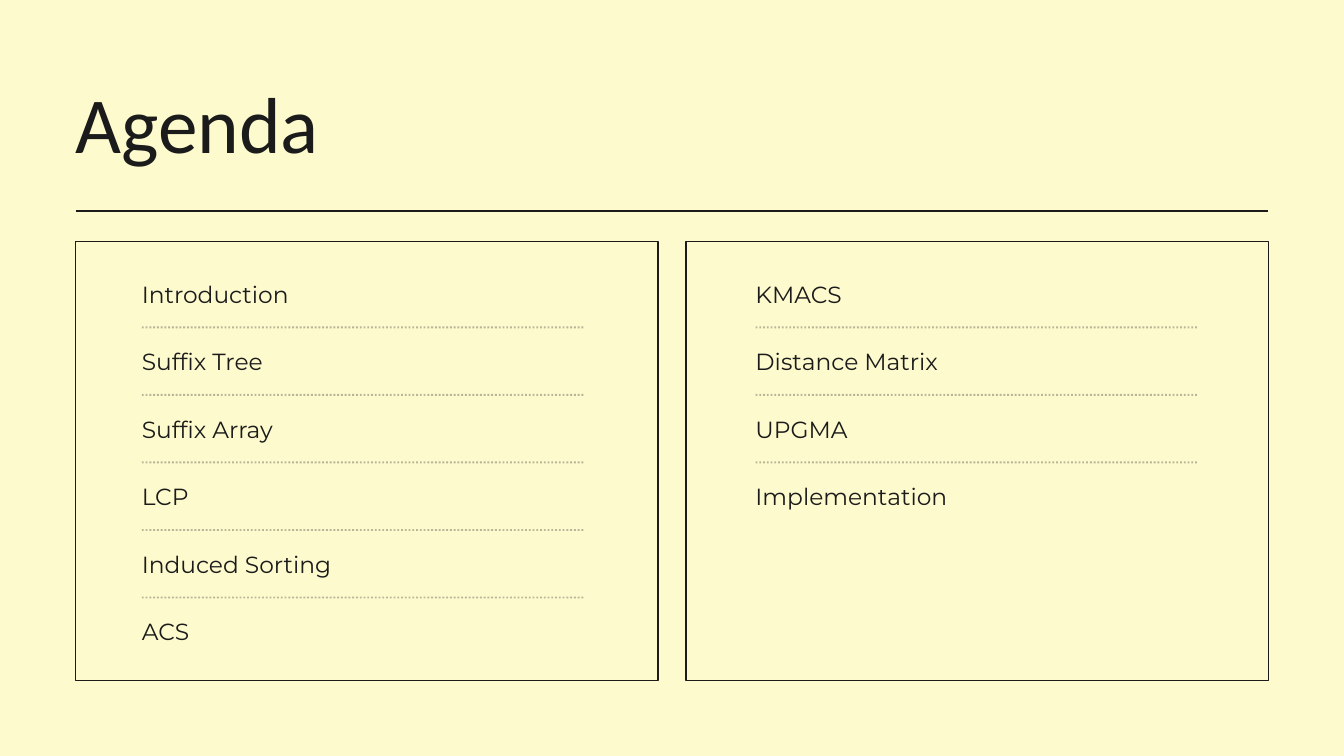
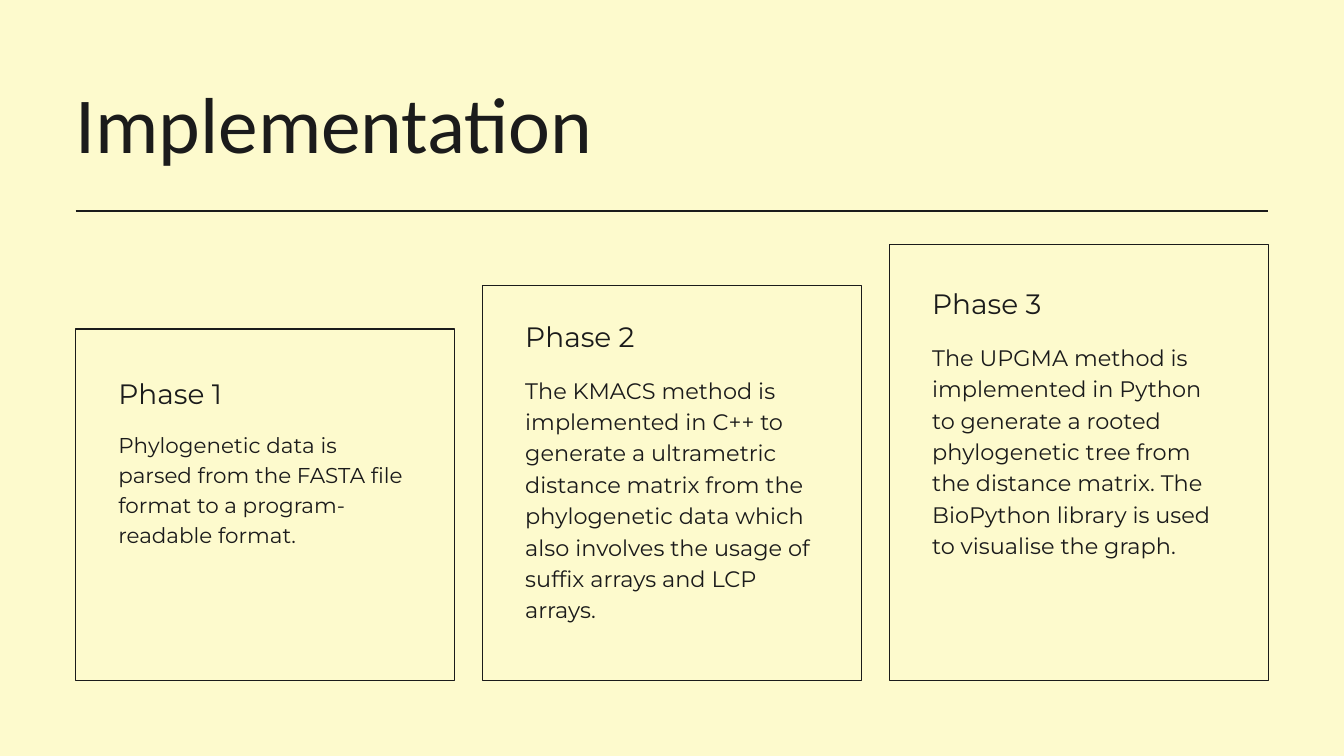
from lxml import etree
from pptx import Presentation
from pptx import util as u
from pptx.dml.color import RGBColor
from pptx.enum import dml, shapes, text
from pptx.oxml.ns import qn

Pt = u.Pt
COLORS = {"paper": "FDFACD", "ink": "1B1B1B"}
FONTS = {"title": "Calibri", "body": "Montserrat"}
LEFT, RIGHT = 81, 1359
BASE = 729
GAP = 30


def columns(count):
    """Left edges and common width of equal columns between the margins."""
    width = (RIGHT - LEFT - GAP * (count - 1)) / count
    return [LEFT + i * (width + GAP) for i in range(count)], width


class Deck:
    def __init__(self):
        self.prs = Presentation()
        self.prs.slide_width, self.prs.slide_height = Pt(1440), Pt(810)
        self.slide = None

    def color(self, name):
        return RGBColor.from_string(COLORS[name])

    def page(self, title):
        """Start a slide with its background, title and rule."""
        self.slide = self.prs.slides.add_slide(self.prs.slide_layouts[6])
        fill = self.slide.background.fill
        fill.solid()
        fill.fore_color.rgb = self.color("paper")
        self.label(title, LEFT, 79, RIGHT - LEFT, 104, 85, "title", 1.2)
        self.rule(LEFT, RIGHT, 226, 1.5)

    def label(self, words, x, y, w, h, size, font="body", lead=1.4):
        box = self.slide.shapes.add_textbox(Pt(x), Pt(y), Pt(w), Pt(h))
        frame = box.text_frame
        frame.word_wrap = True
        frame.auto_size = text.MSO_AUTO_SIZE.SHAPE_TO_FIT_TEXT
        frame.margin_left = frame.margin_right = 0
        frame.margin_top = frame.margin_bottom = 0
        frame.text = words
        para = frame.paragraphs[0]
        para.line_spacing = Pt(size * lead)
        style = para.runs[0].font
        style.name, style.size = FONTS[font], Pt(size)
        style.color.rgb = self.color("ink")

    def rule(self, x1, x2, y, width, dotted=False):
        line = self.slide.shapes.add_connector(
            shapes.MSO_CONNECTOR.STRAIGHT, Pt(x1), Pt(y), Pt(x2), Pt(y))
        line.line.width = Pt(width)
        line.line.color.rgb = self.color("ink")
        props = line._element.spPr
        if dotted:
            line.line.dash_style = dml.MSO_LINE.ROUND_DOT
            tint = props.find(".//" + qn("a:srgbClr"))
            etree.SubElement(tint, qn("a:alpha"), val="30000")
        etree.SubElement(props, qn("a:effectLst"))

    def frame(self, x, y, w):
        """Outlined box that reaches down to the common base line."""
        box = self.slide.shapes.add_shape(
            shapes.MSO_SHAPE.RECTANGLE, Pt(x), Pt(y), Pt(w), Pt(BASE - y))
        box.shadow.inherit = False
        box.fill.background()
        box.line.width = Pt(1.25)
        box.line.color.rgb = self.color("ink")

    def topics(self, x, items):
        """Rows of text with a dotted rule between neighbours."""
        pitch = 72.35
        for i, item in enumerate(items):
            if i:
                self.rule(x, x + 474.5, 350.75 + (i - 1) * pitch, 2, True)
            self.label(item, x, 295 + i * pitch, 435, 32.5, 25)

    def phase(self, x, y, w, head, body, head_y, body_y, body_h, size):
        pad = 45.75
        self.frame(x, y, w)
        self.label(head, x + pad, head_y, w - 2 * pad, 39, 30)
        self.label(body, x + pad, body_y, w - 2 * pad, body_h, size)


AGENDA = [
    (152, ["Introduction", "Suffix Tree", "Suffix Array", "LCP",
           "Induced Sorting", "ACS"]),
    (809.5, ["KMACS", "Distance Matrix", "UPGMA", "Implementation"]),
]

# Frame top, heading, body, heading top, body top, body height, body size
PHASES = [
    (352.5, "Phase 1",
     "Phylogenetic data is parsed from the FASTA file format to a "
     "program-readable format.", 397, 458, 124.5, 23),
    (305.5, "Phase 2",
     "The KMACS method is implemented in C++ to generate a ultrametric "
     "distance matrix from the phylogenetic data which also involves the "
     "usage of suffix arrays and LCP arrays.", 336.5, 399, 262, 24),
    (261.75, "Phase 3",
     "The UPGMA method is implemented in Python to generate a rooted "
     "phylogenetic tree from the distance matrix. The BioPython library is "
     "used to visualise the graph.", 301, 363.75, 229, 24),
]


def main():
    deck = Deck()

    # Agenda
    deck.page("Agenda")
    lefts, width = columns(len(AGENDA))
    for left, (x, items) in zip(lefts, AGENDA):
        deck.frame(left, 258.75, width)
        deck.topics(x, items)

    # Implementation phases
    deck.page("Implementation")
    lefts, width = columns(len(PHASES))
    for left, (top, *rest) in zip(lefts, PHASES):
        deck.phase(left, top, width, *rest)

    deck.prs.save("out.pptx")


if __name__ == "__main__":
    main()
